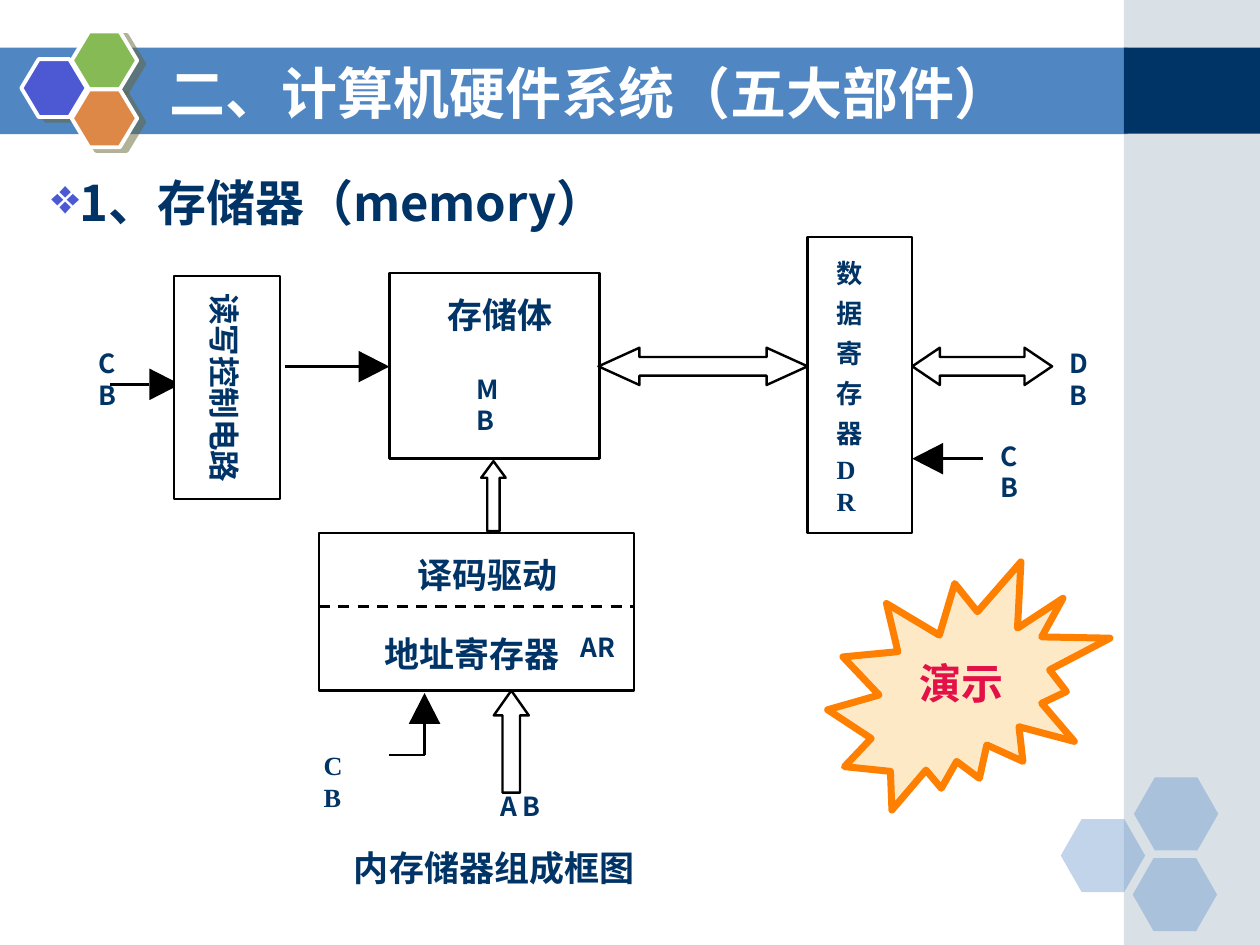
from lxml import etree
from pptx import Presentation
from pptx.dml.color import RGBColor
from pptx.enum.dml import MSO_LINE
from pptx.enum.shapes import MSO_CONNECTOR, MSO_SHAPE
from pptx.enum.text import MSO_ANCHOR, PP_ALIGN
from pptx.oxml.ns import qn
from pptx.util import Pt

RECTANGLE = MSO_SHAPE.RECTANGLE
HEXAGON = MSO_SHAPE.HEXAGON
BURST = MSO_SHAPE.EXPLOSION2
DOUBLE_ARROW = MSO_SHAPE.LEFT_RIGHT_ARROW
UP_ARROW = MSO_SHAPE.UP_ARROW
STRAIGHT = MSO_CONNECTOR.STRAIGHT
DASH = MSO_LINE.DASH
TOP, MIDDLE = MSO_ANCHOR.TOP, MSO_ANCHOR.MIDDLE
LEFT, CENTER = PP_ALIGN.LEFT, PP_ALIGN.CENTER

SANS = "Noto Sans CJK SC"
SERIF = "Times New Roman"
COLORS = {
    "band": "5086C2", "navy": "003366", "side": "A0B5C4", "white": "FFFFFF",
    "black": "000000", "violet": "4C59D2", "green": "85BA54", "orange": "DE8848",
    "shadow": "666633", "cream": "FDE9C6", "edge": "FF7F00", "red": "E41048",
}
STROKE = 1.38
HEAD_LENGTH, HEAD_HALF = 17.6, 9


def rgb(name):
    return RGBColor.from_string(COLORS[name])


def add_child(parent, tag, **attributes):
    return etree.SubElement(parent, qn(tag), attributes)


def format_shape(shape, fill, line=None, width=STROKE, alpha=None):
    shape.shadow.inherit = False
    shape.fill.solid()
    shape.fill.fore_color.rgb = rgb(fill)
    if alpha:
        color = shape.fill._xPr.find(qn("a:solidFill"))[0]
        add_child(color, "a:alpha", val=str(alpha * 1000))
    if line:
        shape.line.color.rgb = rgb(line)
        shape.line.width = Pt(width)
    else:
        shape.line.fill.background()


def add_shape(slide, kind, box, fill, adjustments=(), **style):
    shape = slide.shapes.add_shape(kind, *map(Pt, box))
    for index, value in enumerate(adjustments):
        shape.adjustments[index] = value
    format_shape(shape, fill, **style)
    return shape


def add_line(slide, start, end, width=STROKE, dash=None):
    line = slide.shapes.add_connector(STRAIGHT, *map(Pt, (*start, *end)))
    line.line.color.rgb = rgb("black")
    line.line.width = Pt(width)
    if dash:
        line.line.dash_style = dash
    add_child(line._element.spPr, "a:effectLst")


def add_solid_arrow(slide, start, tip):
    length = abs(tip[0] - start[0]) + abs(tip[1] - start[1])
    dx, dy = (tip[0] - start[0]) / length, (tip[1] - start[1]) / length
    base = (tip[0] - dx * HEAD_LENGTH, tip[1] - dy * HEAD_LENGTH)
    add_line(slide, start, base)
    corners = [(base[0] + side * dy, base[1] + side * dx) for side in (HEAD_HALF, -HEAD_HALF)]
    builder = slide.shapes.build_freeform(Pt(tip[0]), Pt(tip[1]))
    builder.add_line_segments([(Pt(x), Pt(y)) for x, y in corners])
    format_shape(builder.convert_to_shape(), "black")


def add_text(slide, text, box, size=15, font=SANS, color="navy", align=LEFT,
             anchor=TOP, margins=(0, 0), rotation=0, bullet=None, spacing=None):
    shape = slide.shapes.add_textbox(*map(Pt, box))
    shape.rotation = rotation
    frame = shape.text_frame
    frame.word_wrap = True
    frame.vertical_anchor = anchor
    frame.margin_left = frame.margin_right = Pt(margins[0])
    frame.margin_top = frame.margin_bottom = Pt(margins[1])
    paragraph = frame.paragraphs[0]
    paragraph.alignment = align
    if spacing:
        paragraph.line_spacing = spacing
    if bullet:
        properties = paragraph._p.get_or_add_pPr()
        properties.set("marL", str(Pt(14.4)))
        properties.set("indent", str(-Pt(14.4)))
        color_element = add_child(properties, "a:buClr")
        add_child(color_element, "a:srgbClr", val=COLORS["violet"])
        add_child(properties, "a:buChar", char=bullet)
    run = paragraph.add_run()
    run.text = text
    run.font.size = Pt(size)
    run.font.bold = True
    run.font.name = font
    run.font.color.rgb = rgb(color)
    add_child(run._r.get_or_add_rPr(), "a:ea", typeface=font)


def add_hexagon_shadow(shape):
    effects = shape._element.spPr.find(qn("a:effectLst"))
    shadow = add_child(effects, "a:outerShdw", dist=str(Pt(4.5)), dir=str(27 * 60000),
                       algn="ctr", rotWithShape="0")
    color = add_child(shadow, "a:srgbClr", val=COLORS["shadow"])
    add_child(color, "a:alpha", val="50000")


def draw_background(slide, box):
    left, top, width, height = box
    side_left, side_width = left + 642.2, width - 642.2
    add_shape(slide, RECTANGLE, (left, top + 27.2, 644.4, 49.4), "band")
    add_shape(slide, RECTANGLE, (side_left, top, side_width, height), "side", alpha=40)
    add_shape(slide, RECTANGLE, (side_left, top + 27.2, side_width, 49.2), "navy")
    for x, y in ((606.2, 468), (648, 444.2), (647.3, 490.3)):
        add_shape(slide, HEXAGON, (left + x, top + y, 48.2, 41.8), "band", (0.286,), alpha=35)


def draw_emblem(slide, box):
    left, top = box[:2]
    for x, y, fill in ((0, 15.8, "violet"), (28.8, 0, "green"), (28.8, 33.1, "orange")):
        hexagon = add_shape(slide, HEXAGON, (left + x, top + y, 37.4, 33.1), fill, (0.3,),
                            line="white", width=2.25)
        add_hexagon_shadow(hexagon)


def draw_headings(slide, box):
    left, top = box[:2]
    add_text(slide, "1、存储器（memory）", (left, top + 71.3, 625, 38.2), size=28,
             margins=(7.2, 3.6), bullet="❖", spacing=0.8)
    add_text(slide, "二、计算机硬件系统（五大部件）", (left + 67.7, top, 527.8, 44.6), size=32,
             color="white", anchor=MIDDLE, margins=(7.2, 3.6))


def draw_demo_burst(slide, box):
    left, top, width, height = box
    add_shape(slide, BURST, box, "cream", line="edge", width=4)
    add_text(slide, "演示", (left + 5.8, top + 51.1, 141.8, 36), size=24, color="red",
             align=CENTER, margins=(7.2, 3.6))


def draw_diagram(slide, box):
    left, top = box[:2]

    def at(x, y, *size):
        return (left + x, top + y, *size)

    def block(x, y, width, height):
        add_shape(slide, RECTANGLE, at(x, y, width, height), "white", line="black")

    def hollow_arrow(kind, x, y, width, height, head):
        add_shape(slide, kind, at(x, y, width, height), "white", (0.5, head), line="black")

    def label(text, x, y, width, size=15, **style):
        add_text(slide, text, at(x, y, width, size * 1.2), size=size, **style)

    add_solid_arrow(slide, at(12.6, 89.6), at(53, 89.6))
    block(49.4, 27.7, 60.5, 127.4)
    label("读写控制电路", 24.2, 81, 108.7, size=18, rotation=90)

    add_solid_arrow(slide, at(112.7, 79.5), at(172.5, 79.5))
    block(172.5, 26.2, 120.2, 105.8)
    label("存储体", 205.6, 37.8, 60.5, size=20)
    label("M B", 222.2, 83.1, 22.3)

    block(132.2, 174.6, 180, 90)
    label("译码驱动", 188.3, 186.1, 80.6, size=20)
    label("地址寄存器", 169.6, 231.4, 100.8, size=20)
    label("AR", 281.9, 230.7, 21.6)
    add_line(slide, at(132.2, 216.7), at(312.2, 216.7), width=1.6, dash=DASH)

    hollow_arrow(DOUBLE_ARROW, 292, 68.7, 119.5, 21.3, 1.1)
    hollow_arrow(DOUBLE_ARROW, 471.3, 68.7, 79.9, 21.3, 0.74)
    add_solid_arrow(slide, at(511.6, 132.1), at(471.3, 132.1))
    block(411.5, 5.4, 59.8, 169.2)
    for row, character in enumerate("数据寄存器"):
        label(character, 428.1, 16.9 + row * 22.9, 15.1)
    label("DR", 428.1, 129.2, 20.9, font=SERIF)

    hollow_arrow(UP_ARROW, 232.2, 264.6, 20, 58.3, 0.71)
    hollow_arrow(UP_ARROW, 225, 133.5, 14, 40, 0.68)
    add_solid_arrow(slide, at(192.6, 301.3), at(192.6, 266))
    add_line(slide, at(192.6, 301.3), at(172.5, 301.3))

    label("CB", 6.2, 68.7, 15.1)
    label("DB", 561.3, 68.7, 15.1)
    label("CB", 521.7, 121.3, 15.1)
    label("CB", 135, 298.4, 20.2, font=SERIF)
    label("A B", 235.8, 321.4, 30.2)
    label("内存储器组成框图", 152.3, 353.8, 161.3, size=20)


def main():
    presentation = Presentation()
    presentation.slide_width, presentation.slide_height = Pt(720), Pt(540)
    slide = presentation.slides.add_slide(presentation.slide_layouts[6])
    draw_background(slide, (0, 0, 720, 540))
    draw_emblem(slide, (12.2, 18, 66.2, 66.2))
    draw_demo_burst(slide, (473, 321.1, 161.3, 141.8))
    draw_diagram(slide, (50, 130, 577, 378))
    draw_headings(slide, (22.3, 30.2, 625, 110))
    presentation.save("out.pptx")


if __name__ == "__main__":
    main()
